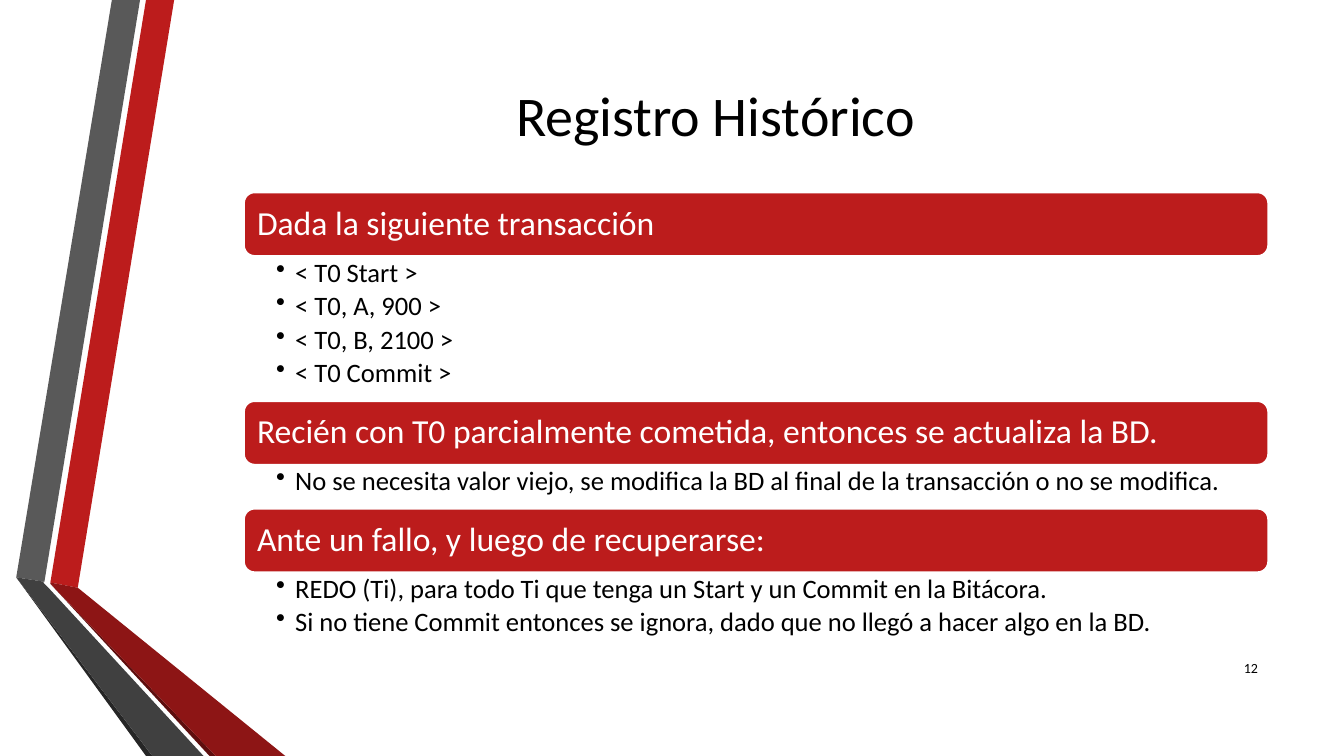
"""Build the "Registro Histórico" slide."""
import pptx
import pptx.dml.color
import pptx.enum.shapes
import pptx.enum.text
import pptx.oxml.ns
import pptx.util
from lxml import etree

Cm, Pt = pptx.util.Cm, pptx.util.Pt
RGBColor = pptx.dml.color.RGBColor
ALIGN = pptx.enum.text.PP_ALIGN
ANCHOR = pptx.enum.text.MSO_ANCHOR
ROUNDED = pptx.enum.shapes.MSO_SHAPE.ROUNDED_RECTANGLE

BLACK = RGBColor(0x00, 0x00, 0x00)
WHITE = RGBColor(0xFF, 0xFF, 0xFF)
RED = RGBColor(0xBC, 0x1C, 0x1C)
DARK_RED = RGBColor(0x8D, 0x15, 0x15)
DEEP_RED = RGBColor(0x5E, 0x0E, 0x0E)
GRAY = RGBColor(0x59, 0x59, 0x59)
DARK_GRAY = RGBColor(0x40, 0x40, 0x40)
DEEP_GRAY = RGBColor(0x26, 0x26, 0x26)

FONT = "Calibri"
TITLE = "Registro Histórico"
PAGE = "12"
SECTIONS = [
    ("Dada la siguiente transacción", 3.66,
     ["< T0 Start >", "< T0, A, 900 >", "< T0, B, 2100 >", "< T0 Commit >"]),
    ("Recién con T0 parcialmente cometida, entonces se actualiza la BD.", 1.11,
     ["No se necesita valor viejo, se modifica la BD al final de la transacción o no se modifica."]),
    ("Ante un fallo, y luego de recuperarse:", 1.83,
     ["REDO (Ti), para todo Ti que tenga un Start y un Commit en la Bitácora.",
      "Si no tiene Commit entonces se ignora, dado que no llegó a hacer algo en la BD."]),
]
RIBBONS = [
    (RED, [(1.27, 14.68), (1.96, 14.81), (4.39, 0), (3.68, 0)]),
    (GRAY, [(3.53, 0), (2.82, 0), (0.41, 14.55), (1.12, 14.66)]),
    (DEEP_GRAY, [(0.41, 14.55), (3.68, 19.05), (3.84, 19.05)]),
    (DEEP_RED, [(1.27, 14.71), (5.28, 19.05), (5.44, 19.05)]),
    (DARK_RED, [(1.27, 14.68), (1.27, 14.71), (5.44, 19.05), (7.19, 19.05), (1.96, 14.81)]),
    (DARK_GRAY, [(5.13, 19.05), (1.22, 14.81), (1.09, 14.68), (1.12, 14.66),
                 (0.41, 14.55), (3.84, 19.05)]),
]
LEFT, TOP, WIDTH, BAR_HEIGHT = 6.15, 4.85, 25.81, 1.6
INDENT = 0.48


def write(sp, lines, size, color=BLACK, align=ALIGN.LEFT, anchor=ANCHOR.MIDDLE,
          insets=(0.25, 0.13, 0.25, 0.13), spacing=1.0, after=0, bullet=None):
    tf = sp.text_frame
    tf.word_wrap = True
    tf.vertical_anchor = anchor
    tf.margin_left, tf.margin_top, tf.margin_right, tf.margin_bottom = map(Cm, insets)
    for i, line in enumerate(lines):
        p = tf.paragraphs[0] if i == 0 else tf.add_paragraph()
        p.alignment = align
        p.line_spacing = spacing
        p.space_after = Pt(after)
        if bullet:
            p.level = 1
            pPr = p._p.get_or_add_pPr()
            pPr.set("marL", str(Cm(INDENT)))
            pPr.set("indent", str(-Cm(INDENT)))
            etree.SubElement(pPr, pptx.oxml.ns.qn("a:buChar")).set("char", bullet)
        r = p.add_run()
        r.text = line
        r.font.name, r.font.size, r.font.color.rgb = FONT, Pt(size), color


def box(s, left, top, width, height):
    return s.shapes.add_textbox(Cm(left), Cm(top), Cm(width), Cm(height))


def add_ribbon(s, color, points):
    start, *rest = [(Cm(x), Cm(y)) for x, y in points]
    builder = s.shapes.build_freeform(*start)
    builder.add_line_segments(rest, close=True)
    sp = builder.convert_to_shape()
    sp.shadow.inherit = False
    sp.fill.solid()
    sp.fill.fore_color.rgb = color
    sp.line.fill.background()


def add_bar(s, top, heading):
    sp = s.shapes.add_shape(ROUNDED, Cm(LEFT), Cm(top), Cm(WIDTH), Cm(BAR_HEIGHT))
    sp.shadow.inherit = False
    sp.fill.solid()
    sp.fill.fore_color.rgb = RED
    sp.line.color.rgb = WHITE
    sp.line.width = Pt(1.25)
    write(sp, [heading], 24, WHITE, insets=(0.25, 0.25, 0.25, 0.25), spacing=0.9)


def main():
    prs = pptx.Presentation()
    prs.slide_width, prs.slide_height = Cm(33.87), Cm(19.05)
    s = prs.slides.add_slide(prs.slide_layouts[6])
    for color, points in RIBBONS:
        add_ribbon(s, color, points)
    write(box(s, 4.11, 0.43, 27.84, 4.88), [TITLE], 40, align=ALIGN.CENTER)
    top = TOP
    for heading, height, items in SECTIONS:
        add_bar(s, top, heading)
        top += BAR_HEIGHT
        write(box(s, LEFT, top, WIDTH, height), items, 19, anchor=ANCHOR.TOP,
              insets=(0.81, 0.08, 0.48, 0.08), spacing=0.9, after=3.4, bullet="•")
        top += height
    write(box(s, 30.43, 16.31, 1.52, 1.02), [PAGE], 10, align=ALIGN.RIGHT)
    prs.save("out.pptx")


if __name__ == "__main__":
    main()
